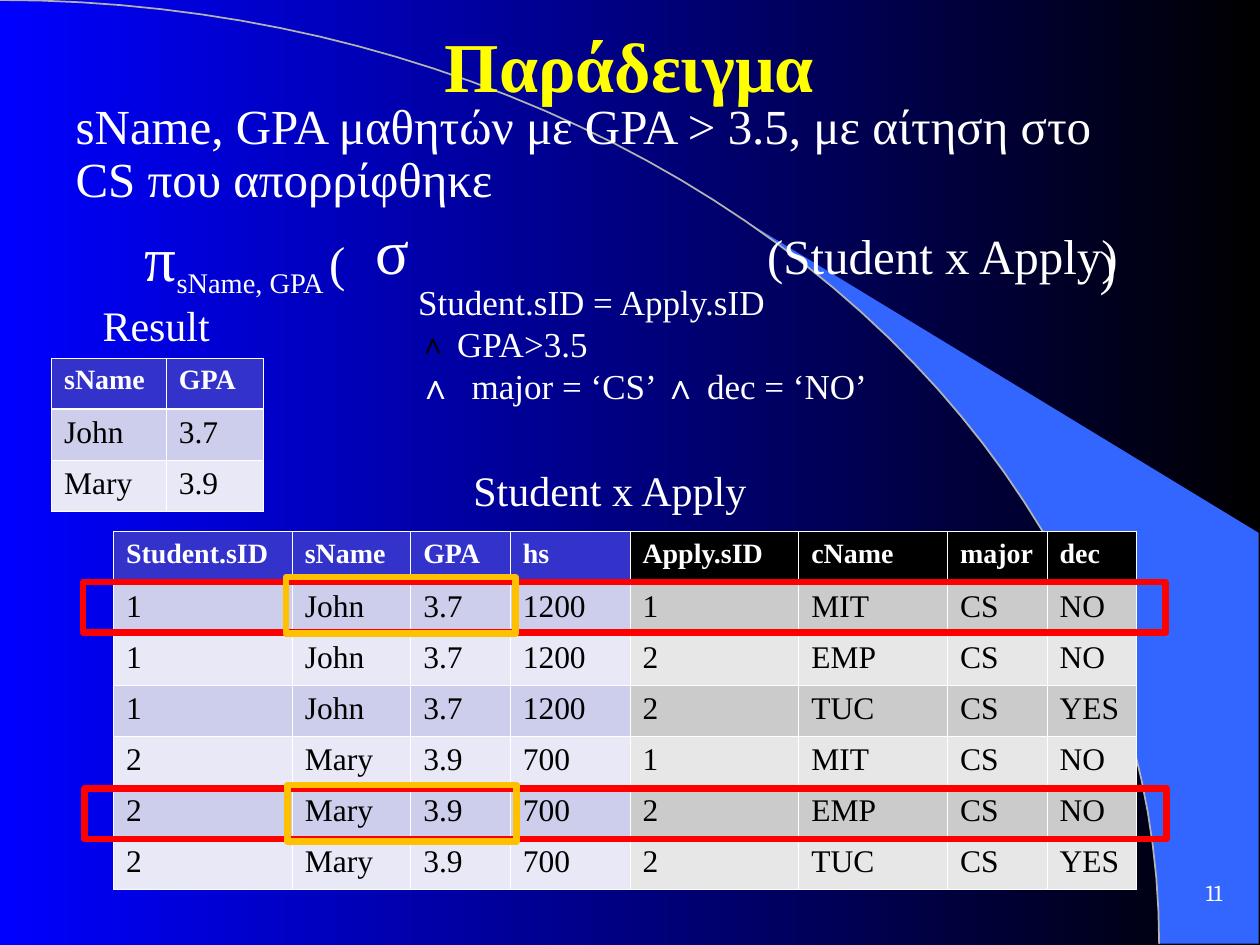
"""Build a slide on a relational algebra query: its expression, cross product and result."""
from math import cos, radians, sin

from lxml.etree import SubElement
from pptx import Presentation
from pptx.dml.color import RGBColor
from pptx.enum.shapes import MSO_SHAPE
from pptx.enum.text import MSO_ANCHOR, MSO_AUTO_SIZE, PP_ALIGN
from pptx.oxml.ns import qn
from pptx.util import Inches, Pt

WHITE = RGBColor(0xFF, 0xFF, 0xFF)
BLACK = RGBColor(0, 0, 0)
BLUE = RGBColor(0, 0, 0xFF)
WEDGE_BLUE = RGBColor(0x33, 0x66, 0xFF)
ARC_GRAY = RGBColor(0xB2, 0xB2, 0xB2)
YELLOW = RGBColor(0xFF, 0xFF, 0)
RED = RGBColor(0xFF, 0, 0)
ORANGE = RGBColor(0xFF, 0xC0, 0)
INDIGO = RGBColor(0x33, 0x33, 0xCC)
LAVENDER = RGBColor(0xCD, 0xCD, 0xEC)
PALE_LAVENDER = RGBColor(0xE8, 0xE8, 0xF6)
GRAY = RGBColor(0xCB, 0xCB, 0xCB)
PALE_GRAY = RGBColor(0xE7, 0xE7, 0xE7)
SERIF = "Times New Roman"


def add_runs(paragraph, runs, color=WHITE, bold=False):
    for text, size, *font_name in runs:
        run = paragraph.add_run()
        run.text = text
        run.font.size = Pt(size)
        run.font.name = font_name[0] if font_name else SERIF
        run.font.color.rgb = color
        run.font.bold = bold


def set_layout(paragraph, margin=0, hang=0, bullet=None):
    properties = paragraph._p.get_or_add_pPr()
    properties.set("marL", str(Inches(margin)))
    properties.set("indent", str(-Inches(hang)))
    if bullet:
        bullet_color = SubElement(properties, qn("a:buClr"))
        SubElement(bullet_color, qn("a:srgbClr"), val=str(BLACK))
        SubElement(properties, qn("a:buSzPct"), val="85000")
        SubElement(properties, qn("a:buFont"), typeface="Arial")
        SubElement(properties, qn("a:buChar"), char=bullet)
    else:
        SubElement(properties, qn("a:buNone"))


prs = Presentation()
prs.slide_width, prs.slide_height = Inches(10), Inches(7.5)
slide = prs.slides.add_slide(prs.slide_layouts[1])
shapes = slide.shapes

backdrop = slide.background.fill
backdrop.gradient()
backdrop.gradient_angle = 0
for stop, color, position in zip(backdrop.gradient_stops, (BLUE, BLACK), (0, 1)):
    stop.color.rgb = color
    stop.position = position

curve = [
    (Inches(9.2 * sin(radians(angle))), Inches(7.49 * (1 - cos(radians(angle)))))
    for angle in range(0, 91, 2)
]
wedge_corners = [(Inches(9.99), Inches(7.49)), (Inches(9.99), Inches(4.23))]
wedge_points = curve[20:] + wedge_corners
for layer, (points, closed) in enumerate([(wedge_points, True), (curve, False)]):
    builder = shapes.build_freeform(*points[0])
    builder.add_line_segments(points[1:], close=closed)
    outline = builder.convert_to_shape()
    outline.shadow.inherit = False
    if closed:
        outline.fill.solid()
        outline.fill.fore_color.rgb = WEDGE_BLUE
        outline.line.fill.background()
    else:
        outline.fill.background()
        outline.line.color.rgb = ARC_GRAY
        outline.line.width = Pt(1)
    shapes.element.insert(2 + layer, outline.element)

heading = shapes.title
heading.left, heading.top, heading.width, heading.height = map(Inches, (0.7, 0, 8.59, 1.02))
heading.text_frame.vertical_anchor = MSO_ANCHOR.MIDDLE
heading.text_frame.auto_size = MSO_AUTO_SIZE.NONE
heading.text_frame.paragraphs[0].alignment = PP_ALIGN.CENTER
add_runs(heading.text_frame.paragraphs[0], [("Παράδειγμα", 40)], YELLOW, True)

query = slide.placeholders[1]
query.left, query.top, query.width, query.height = map(Inches, (0.51, 0.76, 8.66, 4.5))
query.text_frame.auto_size = MSO_AUTO_SIZE.NONE
question = query.text_frame.paragraphs[0]
selection = query.text_frame.add_paragraph()
selection.level = 1
projection_box = shapes.add_textbox(Inches(0.55), Inches(1.72), Inches(3), Inches(0.8))
projection = projection_box.text_frame.paragraphs[0]
for frame in (query.text_frame, projection_box.text_frame):
    frame.word_wrap = True
    frame.margin_left = frame.margin_right = Inches(0.09)
for paragraph, before, margin in [(question, 0, 0), (selection, 7, 2.38), (projection, 0, 0.51)]:
    paragraph.line_spacing = 0.9
    paragraph.space_before = Pt(before)
    set_layout(paragraph, margin)
add_runs(question, [("sName, GPA μαθητών με GPA > 3.5, με αίτηση στο CS που απορρίφθηκε", 28)])
add_runs(selection, [("σ", 36)])
add_runs(projection, [("π", 36), ("sName, GPA ", 28), ("(", 28)])
projection.runs[1].font._element.set("baseline", "-25000")

condition_box = shapes.add_textbox(Inches(3.22), Inches(2.18), Inches(5.09), Inches(1.1))
condition_box.text_frame.word_wrap = True
join_condition = condition_box.text_frame.paragraphs[0]
grade_condition = condition_box.text_frame.add_paragraph()
major_condition = condition_box.text_frame.add_paragraph()
set_layout(grade_condition, 0.24, 0.24, "∧")
add_runs(join_condition, [("Student.sID = Apply.sID", 20)])
add_runs(grade_condition, [(" GPA>3.5", 20)])
add_runs(major_condition, [
    ("∧ ", 20, "Arial"), (" major = ‘CS’ ", 20), ("∧", 20, "Arial"), (" dec = ‘NO’", 20),
])

for text, size, left, top, width, alignment in [
    ("(Student x Apply)", 28, 5.99, 1.74, 3, PP_ALIGN.LEFT),
    (")", 28, 8.63, 1.83, 0.4, PP_ALIGN.LEFT),
    ("Student x Apply", 24, 3.03, 3.64, 3.62, PP_ALIGN.CENTER),
    ("Result", 24, 0.49, 2.33, 1.5, PP_ALIGN.CENTER),
]:
    label = shapes.add_textbox(Inches(left), Inches(top), Inches(width), Inches(0.5))
    label.text_frame.word_wrap = True
    label.text_frame.paragraphs[0].alignment = alignment
    add_runs(label.text_frame.paragraphs[0], [(text, size)])

john = ("1", "John", "3.7", "1200")
mary = ("2", "Mary", "3.9", "700")
student_rows = [("Student.sID", "sName", "GPA", "hs")] + [john] * 3 + [mary] * 3
applications = [("1", "MIT", "CS", "NO"), ("2", "EMP", "CS", "NO"), ("2", "TUC", "CS", "YES")]
apply_rows = [("Apply.sID", "cName", "major", "dec")] + applications * 2
result_rows = [("sName", "GPA"), ("John", "3.7"), ("Mary", "3.9")]
violet_scheme = (INDIGO, LAVENDER, PALE_LAVENDER)
gray_scheme = (BLACK, GRAY, PALE_GRAY)

for rows, left, top, widths, (header, odd, even) in [
    (student_rows, 0.9, 4.22, (1.42, 0.94, 0.79, 0.95), violet_scheme),
    (apply_rows, 5, 4.22, (1.34, 1.18, 0.79, 0.71), gray_scheme),
    (result_rows, 0.41, 2.84, (0.91, 0.77), violet_scheme),
]:
    grid = shapes.add_table(
        len(rows), len(widths), Inches(left), Inches(top),
        Inches(sum(widths)), Inches(2.84 / 7 * len(rows)),
    ).table
    for column, width in zip(grid.columns, widths):
        column.width = Inches(width)
    for r, row in enumerate(rows):
        for c, value in enumerate(row):
            cell = grid.cell(r, c)
            is_header = r == 0
            add_runs(
                cell.text_frame.paragraphs[0], [(value, 16 if is_header else 18)],
                WHITE if is_header else BLACK, is_header,
            )
            borders = cell._tc.get_or_add_tcPr()
            for side in ("L", "R", "T", "B"):
                thick = (r, side) in ((0, "B"), (1, "T"))
                border = SubElement(borders, qn(f"a:ln{side}"), w=str(Pt(1.47 if thick else 0.45)))
                border_fill = SubElement(border, qn("a:solidFill"))
                SubElement(border_fill, qn("a:srgbClr"), val=str(WHITE))
            cell.fill.solid()
            cell.fill.fore_color.rgb = header if is_header else odd if r % 2 else even

for left, top, width, height, color in [
    (0.66, 4.62, 8.59, 0.4, RED),
    (0.67, 6.26, 8.59, 0.4, RED),
    (2.27, 4.58, 1.82, 0.45, ORANGE),
    (2.28, 6.23, 1.82, 0.45, ORANGE),
]:
    highlight = shapes.add_shape(
        MSO_SHAPE.RECTANGLE, Inches(left), Inches(top), Inches(width), Inches(height)
    )
    highlight.shadow.inherit = False
    highlight.fill.background()
    highlight.line.color.rgb = color
    highlight.line.width = Pt(3.75)

page_number = shapes.add_textbox(Inches(9.24), Inches(6.83), Inches(0.56), Inches(0.5))
page_number.text_frame.word_wrap = False
page_number.text_frame.vertical_anchor = MSO_ANCHOR.MIDDLE
page_number.text_frame.paragraphs[0].alignment = PP_ALIGN.RIGHT
add_runs(page_number.text_frame.paragraphs[0], [("11", 13, "Cambria")])

prs.save("out.pptx")
